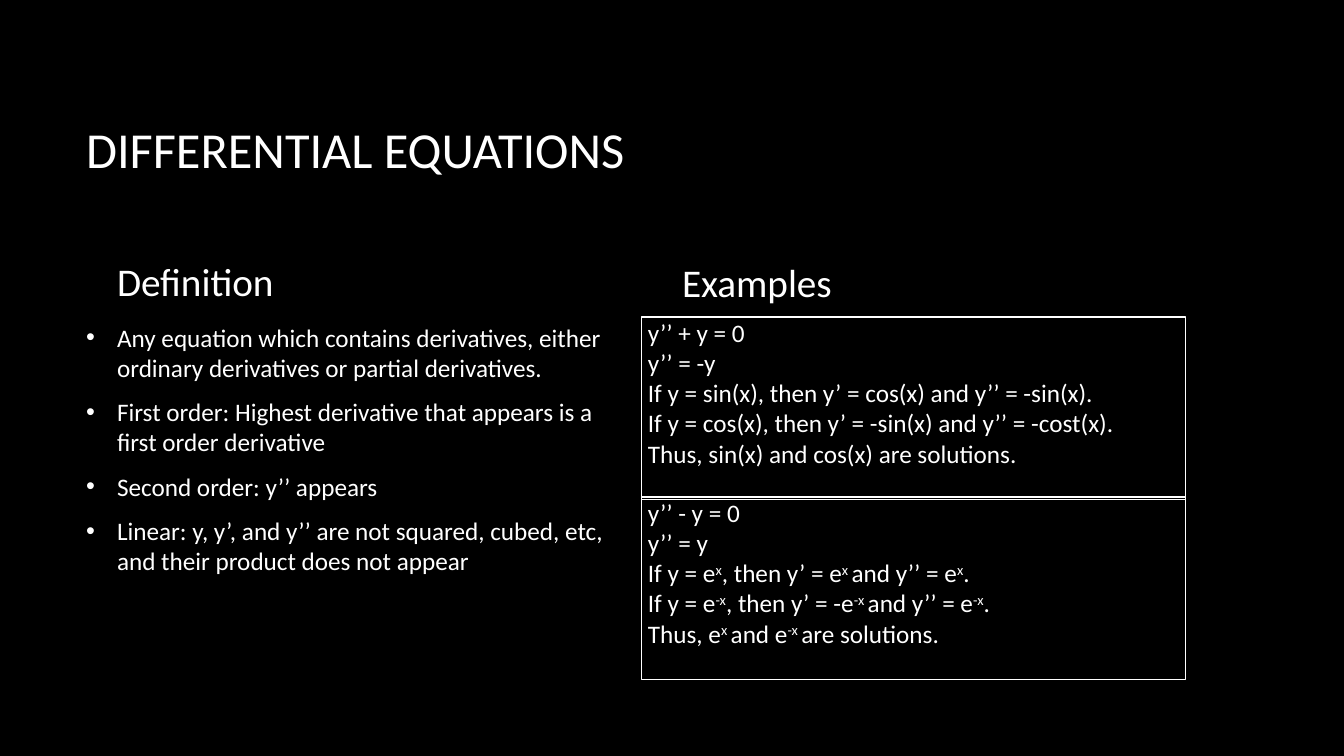
from lxml.etree import SubElement as Sub
from pptx import Presentation as Deck
from pptx.dml.color import RGBColor as Color
from pptx.enum.shapes import MSO_SHAPE as Kind
from pptx.enum.text import MSO_ANCHOR as Anchor, MSO_AUTO_SIZE as Auto, PP_ALIGN as Align
from pptx.oxml.ns import qn
from pptx.util import Pt

SCALE = 9144000 / 1008
WHITE, BLACK = "FFFFFF", "000000"
FONT = {"name": "Calibri", "bold": False}


def px(n):
    return round(n * SCALE)


def tint(code):
    return Color.from_string(code)


def apply(item, vals):
    for key, val in vals.items():
        setattr(item, key, val)


class Page:
    def __init__(self, deck, layout):
        self.slide = deck.slides.add_slide(layout)
        fill = self.slide.background.fill
        fill.solid()
        fill.fore_color.rgb = tint(BLACK)

    def place(self, shape, box):
        apply(shape, dict(zip(("left", "top", "width", "height"), map(px, box))))

    def label(self, frame, lines, size, after=0, anchor=Anchor.TOP, bullet=False):
        apply(frame, {"word_wrap": True, "auto_size": Auto.NONE, "vertical_anchor": anchor})
        style = {"alignment": Align.LEFT, "space_before": Pt(0), "space_after": Pt(after)}
        for i, line in enumerate(lines):
            para = frame.paragraphs[0] if i == 0 else frame.add_paragraph()
            apply(para, style)
            if bullet:
                self.mark(para)
            for j, part in enumerate(line.split("^")):
                run = para.add_run()
                run.text = part
                apply(run.font, {**FONT, "size": Pt(size)})
                run.font.color.rgb = tint(WHITE)
                if j % 2:
                    run.font._element.set("baseline", "30000")

    def mark(self, para):
        props = para._p.get_or_add_pPr()
        props.set("marL", str(px(31)))
        props.set("indent", str(px(-31)))
        Sub(Sub(props, qn("a:buClr")), qn("a:srgbClr")).set("val", WHITE)
        Sub(props, qn("a:buFont")).set("typeface", "Arial")
        Sub(props, qn("a:buChar")).set("char", "•")

    def hold(self, idx, box, lines, size, **style):
        shape = next(s for s in self.slide.placeholders if s.placeholder_format.idx == idx)
        self.place(shape, box)
        self.label(shape.text_frame, lines, size, **style)

    def drop(self, idx):
        for shape in list(self.slide.placeholders):
            if shape.placeholder_format.idx == idx:
                shape.element.getparent().remove(shape.element)

    def panel(self, box, lines):
        shape = self.slide.shapes.add_shape(Kind.RECTANGLE, *map(px, box))
        shape.shadow.inherit = False
        shape.fill.background()
        shape.line.color.rgb = tint(WHITE)
        shape.line.width = Pt(0.75)
        apply(shape.text_frame, {"margin_left": px(6), "margin_top": 0,
                                 "margin_right": 0, "margin_bottom": 0})
        self.label(shape.text_frame, lines, 18)


def main():
    deck = Deck()
    apply(deck, {"slide_width": px(1344), "slide_height": px(756)})
    page = Page(deck, deck.slide_layouts[4])
    page.hold(0, (76, 68, 1117, 160), ["DIFFERENTIAL EQUATIONS"], 36, anchor=Anchor.MIDDLE)
    heads = {"after": 10, "anchor": Anchor.BOTTOM}
    page.hold(1, (107, 245, 519, 64), ["Definition"], 28, **heads)
    page.hold(2, (76, 317, 550, 322), [
        "Any equation which contains derivatives, either ordinary derivatives or partial derivatives.",
        "First order: Highest derivative that appears is a first order derivative",
        "Second order: y’’ appears",
        "Linear: y, y’, and y’’ are not squared, cubed, etc, and their product does not appear",
    ], 18, after=10, bullet=True)
    page.hold(3, (672, 246, 520, 64), ["Examples"], 28, **heads)
    page.drop(4)
    proofs = [
        ["y’’ + y = 0",
         "y’’ = -y",
         "If y = sin(x), then y’ = cos(x) and y’’ = -sin(x).",
         "If y = cos(x), then y’ = -sin(x) and y’’ = -cost(x).",
         "Thus, sin(x) and cos(x) are solutions."],
        ["y’’ - y = 0",
         "y’’ = y",
         "If y = e^x^, then y’ = e^x ^and y’’ = e^x^.",
         "If y = e^-x^, then y’ = -e^-x ^and y’’ = e^-x^.",
         "Thus, e^x ^and e^-x ^are solutions."],
    ]
    for i, lines in enumerate(proofs):
        page.panel((642, 317 + 180 * i, 544, 183), lines)
    deck.save("out.pptx")


if __name__ == "__main__":
    main()
